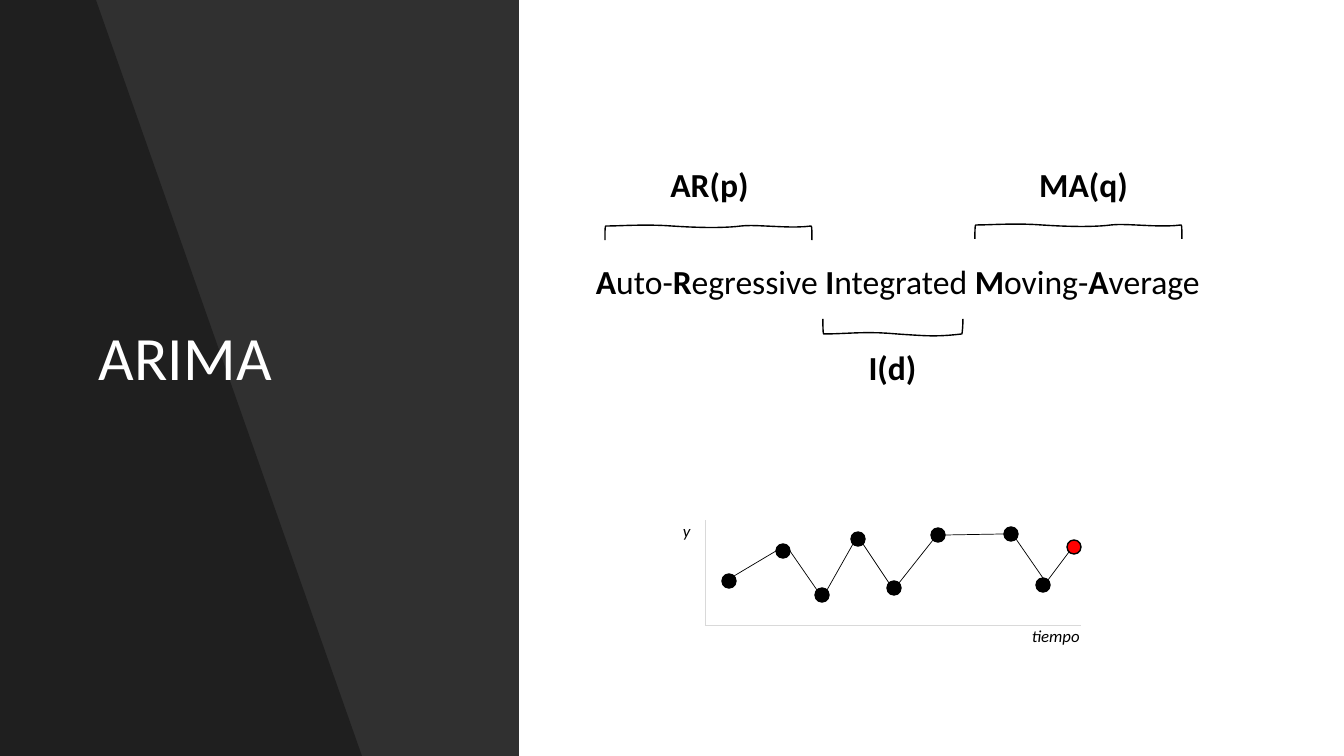
from pptx import Presentation
from pptx.dml.color import RGBColor
from pptx.enum.shapes import MSO_CONNECTOR as CONNECTOR, MSO_SHAPE as SHAPE
from pptx.enum.text import MSO_ANCHOR as ANCHOR, PP_ALIGN as ALIGN
from pptx.oxml.ns import qn
from pptx.util import Pt
from lxml.etree import SubElement

PX = 914400 / 100.8  # EMU in one px
WIDTH, HEIGHT = 1344, 756
BLACK = RGBColor(0, 0, 0)
WHITE = RGBColor(255, 255, 255)
RED = RGBColor(255, 0, 0)
GREY = RGBColor(0xD9, 0xD9, 0xD9)

# Content: box (left, top, width, height), runs (text, bold), format
LABEL = dict(size=24, align=ALIGN.CENTER, wrap=False)
AXIS_LABEL = dict(size=12, italic=True, wrap=False)
TEXTS = [
    ((89, 71, 362, 580), [("ARIMA", False)],
     dict(size=44, color=WHITE, anchor=ANCHOR.MIDDLE, spacing=0.9)),
    ((586, 11, 664, 545),
     [("A", True), ("uto-", False), ("R", True), ("egressive ", False),
      ("I", True), ("ntegrated ", False), ("M", True), ("oving-", False),
      ("A", True), ("verage", False)],
     dict(size=24, anchor=ANCHOR.MIDDLE, spacing=0.9)),
    ((660, 159, 99, 50), [("AR(p)", True)], LABEL),
    ((1029, 159, 109, 50), [("MA(q)", True)], LABEL),
    ((843, 342, 99, 50), [("I(d)", True)], LABEL),
    ((1022, 621, 75, 30), [("tiempo", False)], AXIS_LABEL),
    ((673, 516, 30, 30), [("y", False)], AXIS_LABEL),
]

# Hand-drawn brackets: start point, then cubic curves, relative to the origin
UPPER = [(0, 14), (0, 6), (0, 0), (1, 0), (17, 0), (38, -2), (67, 0),
         (96, 2), (121, 2), (136, 0), (150, -2), (185, 3), (206, 0),
         (207, 0), (207, 5), (207, 14)]
LOWER = [(140, 0), (140, 9), (139, 15), (139, 15), (113, 18), (105, 17), (74, 15),
         (42, 12), (23, 15), (1, 15), (0, 15), (0, 9), (0, 0)]
BRACKETS = [((605, 226), UPPER), ((975, 225), UPPER), ((823, 319), LOWER)]
CURVE_STEPS = 10

# Time series: dot centres, and the sides each link leaves and reaches
DOT = 14
DOTS = [(729, 581), (783, 551), (822, 595), (858, 539), (894, 588),
        (938, 535), (1011, 534), (1043, 585), (1074, 547)]
SIDES = {"left": (-7, 0), "right": (7, 0), "top": (0, -7), "top left": (-5, -5),
         "top right": (5, -5), "bottom left": (-5, 5), "bottom right": (5, 5)}
LINKS = [("top right", "left"), ("right", "top left"), ("top right", "bottom left"),
         ("bottom right", "top left"), ("top right", "bottom left"),
         ("right", "left"), ("bottom right", "top"), ("top right", "bottom left")]
AXES = [((705, 625), (1081, 625)), ((705, 626), (705, 520))]


def emu(*lengths):
    return [round(length * PX) for length in lengths]


def style(shape, fill=None, line=None, alpha=None):
    shape.shadow.inherit = False
    if fill is None:
        shape.fill.background()
    else:
        shape.fill.solid()
        shape.fill.fore_color.rgb = fill
    if alpha:
        color = shape.fill._xPr.find(qn("a:solidFill"))[0]
        SubElement(color, qn("a:alpha"), val=str(alpha * 1000))
    if line is None:
        shape.line.fill.background()
    else:
        shape.line.color.rgb = line
        shape.line.width = Pt(1)


def add_outline(shapes, points, closed):
    points = [tuple(emu(*point)) for point in points]
    builder = shapes.build_freeform(*points[0])
    builder.add_line_segments(points[1:], close=closed)
    return builder.convert_to_shape()


def curve_points(controls):
    points = [controls[0]]
    for first in range(0, len(controls) - 1, 3):
        a, b, c, d = controls[first:first + 4]
        for step in range(1, CURVE_STEPS + 1):
            t = step / CURVE_STEPS
            u = 1 - t
            points.append(tuple(
                u**3 * a[i] + 3 * u * u * t * b[i] + 3 * u * t * t * c[i] + t**3 * d[i]
                for i in (0, 1)))
    return points


def add_line(shapes, start, end, color):
    line = shapes.add_connector(CONNECTOR.STRAIGHT, *emu(*start, *end))
    line.line.color.rgb = color
    line.line.width = Pt(0.5)
    SubElement(line._element.spPr, qn("a:effectLst"))


def add_text(shapes, box, runs, look):
    frame = shapes.add_textbox(*emu(*box)).text_frame
    frame.word_wrap = look.get("wrap", True)
    frame.vertical_anchor = look.get("anchor", ANCHOR.TOP)
    paragraph = frame.paragraphs[0]
    paragraph.alignment = look.get("align", ALIGN.LEFT)
    paragraph.line_spacing = look.get("spacing", 1.0)
    for text, bold in runs:
        run = paragraph.add_run()
        run.text = text
        values = dict(name="Calibri", size=Pt(look["size"]), bold=bold,
                      italic=look.get("italic", False))
        for name, value in values.items():
            setattr(run.font, name, value)
        run.font.color.rgb = look.get("color", BLACK)


def main():
    presentation = Presentation()
    presentation.slide_width, presentation.slide_height = emu(WIDTH, HEIGHT)
    slide = presentation.slides.add_slide(presentation.slide_layouts[6])
    shapes = slide.shapes

    # Dark title panel with its slanted overlay
    panel = shapes.add_shape(SHAPE.RECTANGLE, *emu(0, 0, 519, HEIGHT))
    style(panel, BLACK, alpha=81)
    slant = add_outline(shapes, [(0, 0), (96, 0), (362, HEIGHT), (0, HEIGHT)], True)
    style(slant, BLACK, alpha=35)

    # Brackets around the words
    for (left, top), controls in BRACKETS:
        points = [(left + x, top + y) for x, y in curve_points(controls)]
        style(add_outline(shapes, points, False), line=BLACK)

    # Time series, last dot highlighted
    for x, y in DOTS:
        dot = shapes.add_shape(SHAPE.OVAL, *emu(x - DOT / 2, y - DOT / 2, DOT, DOT))
        style(dot, RED if (x, y) == DOTS[-1] else BLACK, BLACK)
    for start, end, sides in zip(DOTS, DOTS[1:], LINKS):
        ends = [(x + SIDES[side][0], y + SIDES[side][1])
                for (x, y), side in zip((start, end), sides)]
        add_line(shapes, *ends, BLACK)
    for start, end in AXES:
        add_line(shapes, start, end, GREY)

    # Title, phrase and labels
    for box, runs, look in TEXTS:
        add_text(shapes, box, runs, look)

    presentation.save("out.pptx")


if __name__ == "__main__":
    main()
